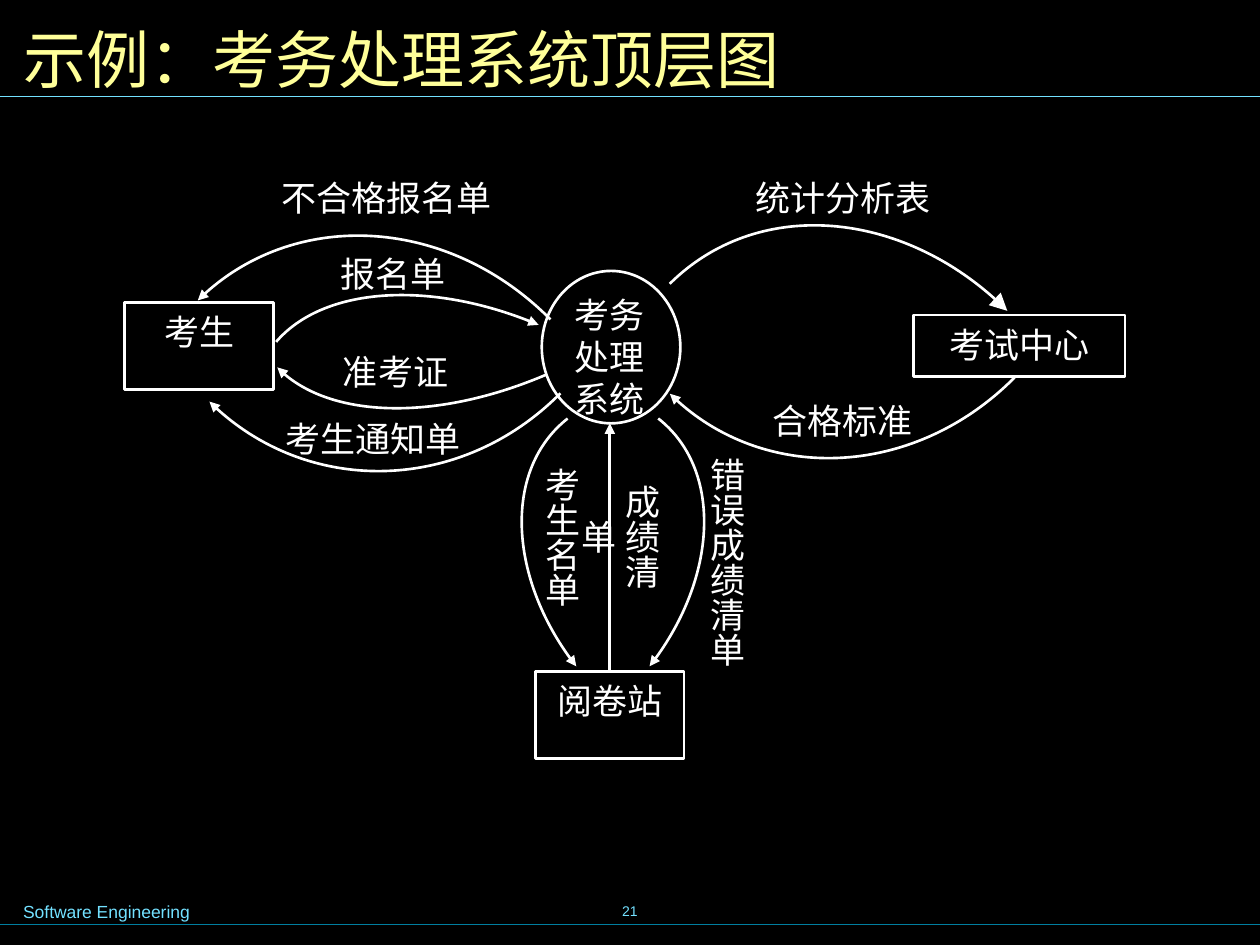
import copy
import math

import pptx
import pptx.util
import pptx.dml.color
import pptx.enum.shapes
import pptx.enum.text
from lxml import etree
from pptx.oxml.ns import qn

RGB = pptx.dml.color.RGBColor
BLACK = RGB(0x00, 0x00, 0x00)
WHITE = RGB(0xFF, 0xFF, 0xFF)
YELLOW = RGB(0xFF, 0xFF, 0x99)
CYAN = RGB(0x73, 0xE1, 0xFF)
TEAL = RGB(0x00, 0x7E, 0x9F)

SHAPE = pptx.enum.shapes.MSO_SHAPE
ANCHOR = pptx.enum.text.MSO_ANCHOR
LEFT = pptx.enum.text.PP_ALIGN.LEFT
CENTER = pptx.enum.text.PP_ALIGN.CENTER

# The slide is a grid of 100 columns by 75 rows
COLS, ROWS = 100, 75
SLIDE_W, SLIDE_H = pptx.util.Inches(10), pptx.util.Inches(7.5)
CELL = SLIDE_W // COLS

# Parts of the diagram, in cells from the corner of its box
ENTITIES = {
    "考生": (0.9, 11, 11.8, 6.9),
    "考试中心": (63.5, 12, 16.8, 4.9),
    "阅卷站": (33.5, 40.3, 11.8, 6.9),
}
PROCESS = (34, 8.5, 11, 12.1)
# Flow: label, label box, vertical text, then the arc:
# frame, rotation, mirroring, start angle, arrow end, arrow size
FLOWS = [
    ("不合格报名单", (11, 0.35, 21.4, 6.7), False,
     ((11.3, 1.2, 18.8, 20.8), 315.2, "", 0, "headEnd", "med")),
    ("报名单", (16.3, 6.4, 11.8, 6.7), False,
     ((17.1, 4.8, 11.6, 19), 293, "", 11, "tailEnd", "med")),
    ("准考证", (14.6, 14.15, 15.6, 6.7), False,
     ((17.6, 5.7, 11.2, 19.8), 67, "V", 12, "headEnd", "med")),
    ("考生通知单", (11, 19.45, 19.2, 6.7), False,
     ((11.9, 8.5, 19.3, 20.1), 44.8, "V", 0, "headEnd", "med")),
    ("统计分析表", (47.65, 0.35, 20.5, 6.7), False,
     ((48.8, 0.4, 17.5, 20.4), 315.2, "", 0, "tailEnd", "lg")),
    ("合格标准", (50.1, 18.05, 15.6, 6.7), False,
     ((48.6, 7.5, 18.5, 20.2), 44.8, "V", 0, "headEnd", "med")),
    ("考生名单", (31.6, 23.1, 6.3, 13.5), True,
     ((30.6, 22.1, 11.6, 15.9), 321.9, "H", 0, "tailEnd", "med")),
    ("错误成绩清单", (44.6, 22.3, 6.4, 20), True,
     ((37.1, 22.1, 11.6, 15.9), 38.1, "", 0, "tailEnd", "med")),
]


def cells(*values):
    return [round(v * CELL) for v in values]


def within(box, part):
    """Move a part's left and top into the given box."""
    return (box[0] + part[0], box[1] + part[1], *part[2:])


def write(tf, lines, size, font, color, align=CENTER, spacing=None):
    tf.word_wrap = True
    tf.text = "\n".join(lines)
    for p in tf.paragraphs:
        p.alignment = align
        if spacing:
            p.line_spacing = spacing
        p.font.size = pptx.util.Pt(size)
        p.font.name = font
        p.font.color.rgb = color


def add_text(s, box, text, size, font, color, align=CENTER, spacing=None):
    tb = s.shapes.add_textbox(*cells(*box))
    write(tb.text_frame, [text], size, font, color, align, spacing)
    return tb.text_frame


def add_line(s, start, end, color, width):
    line = s.shapes.add_connector(
        pptx.enum.shapes.MSO_CONNECTOR.STRAIGHT, *cells(*start, *end))
    line.line.color.rgb = color
    line.line.width = pptx.util.Pt(width)
    etree.SubElement(line._element.spPr, qn("a:effectLst"))
    return line


def add_arrowhead(shape, end="tailEnd", size="med"):
    etree.SubElement(shape.line._get_or_add_ln(), qn("a:" + end),
                     type="triangle", w=size, len=size)


def outline(shape):
    shape.shadow.inherit = False
    shape.fill.background()
    shape.line.color.rgb = WHITE
    shape.line.width = pptx.util.Pt(1.5)


def add_node(s, kind, box):
    sp = s.shapes.add_shape(kind, *cells(*box))
    outline(sp)
    sp.text_frame.vertical_anchor = ANCHOR.TOP
    return sp


def add_arc(s, frame, rotation, mirror, angle, end, size):
    """Draw a quarter arc that fills its frame, then rotate it."""
    x, y, w, h = frame
    t = math.radians(angle)
    k = 4 / 3 * math.tan((math.pi / 2 - t) / 4)
    sin, cos = math.sin(t), math.cos(t)
    # Start, two controls, end, centre of the ellipse
    unit = [(sin, 1 - cos), (sin + k * cos, 1 - cos + k * sin),
            (1, 1 - k), (1, 1), (0, 1)]
    start, *rest = [cells(x + w * (1 - u if mirror == "H" else u),
                          y + h * (1 - v if mirror == "V" else v))
                    for u, v in unit]
    builder = s.shapes.build_freeform(*start)
    builder.add_line_segments(rest)
    sp = builder.convert_to_shape()
    sp.rotation = rotation

    # The sector has no line; the open arc carries line and arrowhead
    sector = sp._element.find(".//" + qn("a:path"))
    curve = etree.Element(qn("a:cubicBezTo"))
    for segment in sector.findall(qn("a:lnTo"))[:3]:
        curve.append(segment[0])
        sector.remove(segment)
    sector.insert(1, curve)
    arc = copy.deepcopy(sector)
    for extra in arc[2:]:
        arc.remove(extra)
    arc.set("fill", "none")
    sector.set("stroke", "0")
    sector.addprevious(arc)
    outline(sp)
    add_arrowhead(sp, end, size)


def add_label(s, box, text, vertical):
    tf = add_text(s, box, text, 20, "Times New Roman", WHITE, spacing=1.05)
    if vertical:
        tf._txBody.bodyPr.set("vert", "eaVert")
        tf.margin_left = tf.margin_right = pptx.util.Inches(0.05)
        tf.margin_top = tf.margin_bottom = pptx.util.Inches(0.1)


def header(s, box):
    x, y, w, h = box
    title = s.shapes.title
    title.left, title.top, title.width, title.height = cells(
        x + 0.85, y + 0.85, w - 1.6, 7.5)
    tf = title.text_frame
    write(tf, ["示例：考务处理系统顶层图"], 36, "Arial Narrow", YELLOW, LEFT)
    tf.auto_size = pptx.enum.text.MSO_AUTO_SIZE.NONE
    tf.vertical_anchor = ANCHOR.MIDDLE
    add_line(s, (x, y + h), (x + w, y + h), CYAN, 0.75)


def footer(s, box):
    x, y, w, h = box
    add_line(s, (x, y + 3.55), (x + w, y + 3.55), TEAL, 0.75)
    add_text(s, (x + 0.85, y + 1.2, 29.5, 2.7), "Software Engineering",
             10, "Arial", CYAN, LEFT)
    tf = add_text(s, (x + 34.15, y, 31.7, h), "21", 8, "Arial", CYAN)
    tf.vertical_anchor = ANCHOR.MIDDLE


def diagram(s, box):
    # Process
    process = add_node(s, SHAPE.OVAL, within(box, PROCESS))
    write(process.text_frame, ["考务", "处理系统"], 20, "Arial", WHITE, LEFT)
    process.text_frame.margin_top = 0

    # External entities
    nodes = {}
    for name, part in ENTITIES.items():
        nodes[name] = add_node(s, SHAPE.RECTANGLE, within(box, part))
        write(nodes[name].text_frame, [name], 20, "Times New Roman", WHITE,
              spacing=1.05)

    # Curved data flows
    for text, part, vertical, (frame, *arc) in FLOWS:
        add_arc(s, within(box, frame), *arc)
        add_label(s, within(box, part), text, vertical)

    # Straight data flow from the marking station
    flow = add_line(s, within(box, (39.4, 40.3)), within(box, (39.4, 20.6)),
                    WHITE, 1.5)
    flow.begin_connect(nodes["阅卷站"], 0)
    add_arrowhead(flow)
    add_label(s, within(box, (37.9, 24.5, 6.4, 13)), "成绩清单", True)


def main():
    prs = pptx.Presentation()
    prs.slide_width, prs.slide_height = SLIDE_W, SLIDE_H
    s = prs.slides.add_slide(prs.slide_layouts[5])
    s.background.fill.solid()
    s.background.fill.fore_color.rgb = BLACK
    header(s, (0, 0, COLS, 7.65))
    diagram(s, (9, 13))
    footer(s, (0, ROWS - 5.2, COLS, 5))
    prs.save("out.pptx")


if __name__ == "__main__":
    main()
